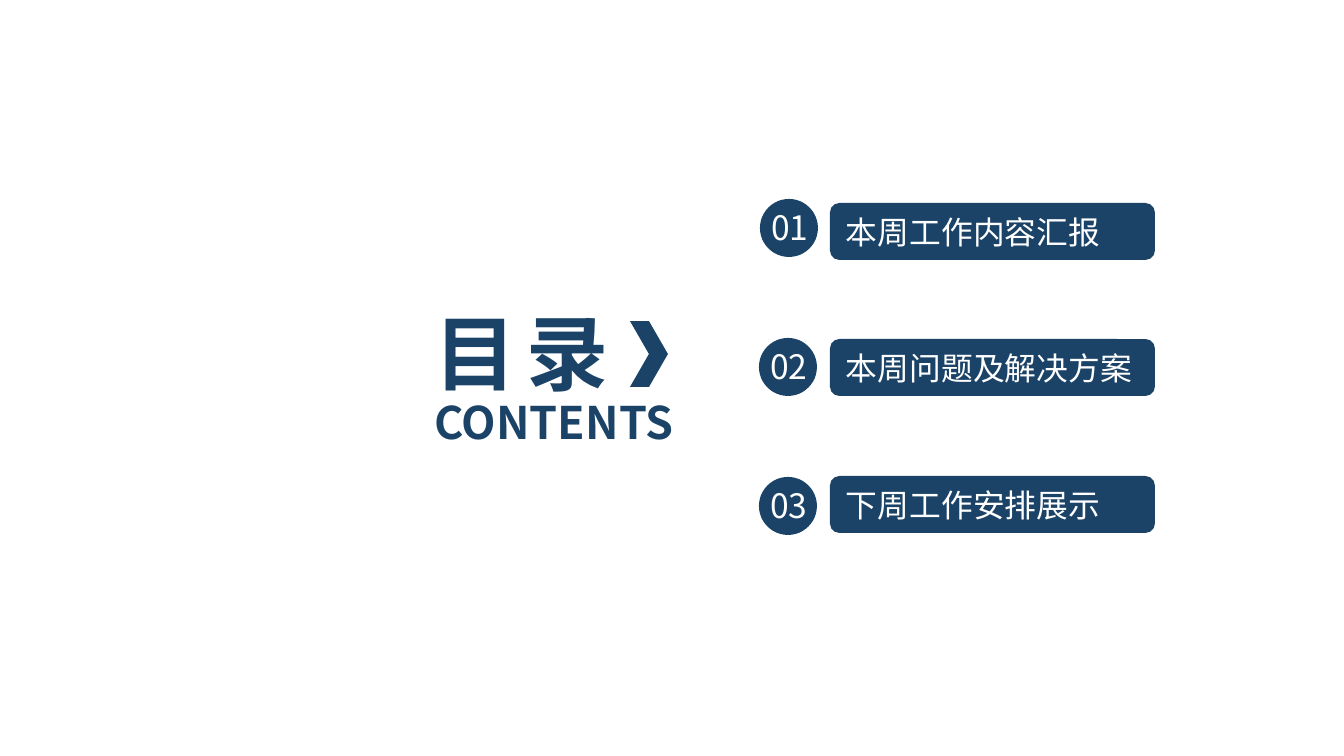
from lxml.etree import SubElement
from pptx import Presentation
from pptx.dml.color import RGBColor
from pptx.enum.shapes import MSO_SHAPE as Shape
from pptx.enum.text import MSO_ANCHOR as Anchor, PP_ALIGN as Align
from pptx.oxml.ns import qn
from pptx.util import Pt

PX = 914400 / 134.4
NAVY = RGBColor(0x1B, 0x43, 0x67)
WHITE = RGBColor(0xFF, 0xFF, 0xFF)
FONT = "Noto Sans CJK SC"

presentation = Presentation()
presentation.slide_width = round(1344 * PX)
presentation.slide_height = round(756 * PX)
slide = presentation.slides.add_slide(presentation.slide_layouts[6])


def add_shape(kind, *box):
    shape = slide.shapes.add_shape(kind, *(round(length * PX) for length in box))
    shape.shadow.inherit = False
    shape.fill.solid()
    shape.fill.fore_color.rgb = NAVY
    shape.line.fill.background()
    return shape


def add_text(text, *box, size, color=NAVY, bold=False, align=Align.LEFT, spacing=None, shape=None):
    """Write into the given shape, or into a new text box at box."""
    shape = shape or slide.shapes.add_textbox(*(round(length * PX) for length in box))
    frame = shape.text_frame
    frame.word_wrap = True
    frame.vertical_anchor = Anchor.TOP
    paragraph = frame.paragraphs[0]
    paragraph.alignment = align
    run = paragraph.add_run()
    run.text = text
    run.font.size = Pt(size)
    run.font.bold = bold
    run.font.color.rgb = color
    run.font.name = FONT
    properties = run.font._element
    SubElement(properties, qn("a:ea")).set("typeface", FONT)
    if spacing is not None:
        properties.set("spc", str(round(spacing * 100)))


# Title
add_text("目 录", 421, 296, 316, 113, size=44, bold=True, spacing=-2.2)
add_text("CONTENTS", 421, 388, 310, 67, size=24, bold=True)
add_shape(Shape.CHEVRON, 630, 321, 38, 66)

# Agenda: bar top, circle left, circle top, topic
agenda = [
    (203, 760, 199, "本周工作内容汇报"),
    (339, 759, 338, "本周问题及解决方案"),
    (476, 759, 477, "下周工作安排展示"),
]
for number, (bar_top, circle_left, circle_top, topic) in enumerate(agenda, start=1):
    bar = add_shape(Shape.ROUNDED_RECTANGLE, 830, bar_top, 325, 57)
    add_text(topic, shape=bar, size=17, color=WHITE)
    add_shape(Shape.OVAL, circle_left, circle_top, 58, 58)
    add_text(f"{number:02}", circle_left - 5, circle_top + 1, 70, 54,
             size=18, color=WHITE, align=Align.CENTER)

presentation.save("out.pptx")
